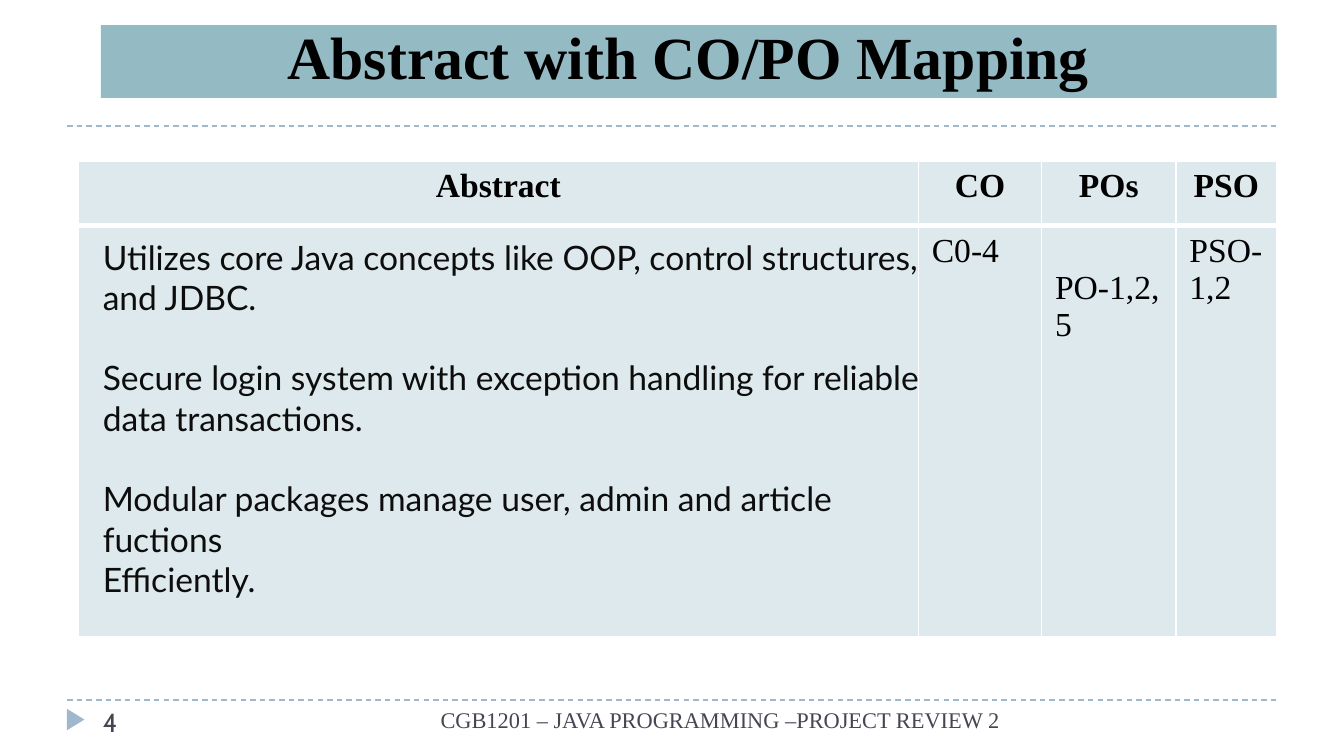
import pptx
import pptx.dml.color
import pptx.enum.dml
import pptx.enum.shapes
import pptx.enum.text
import pptx.oxml
import pptx.oxml.ns
import pptx.util
from lxml import etree

Pt = pptx.util.Pt
ALIGN = pptx.enum.text.PP_ALIGN
ANCHOR = pptx.enum.text.MSO_ANCHOR
SHAPES = pptx.enum.shapes.MSO_SHAPE
SERIF = "Times New Roman"
ACCENT, MUTED = "9FB8CD", "464653"

HEADINGS = ["Abstract", "CO", "POs", "PSO"]
MAPPING = ["", "C0-4", "PO-1,2,5", "PSO-1,2"]
COLUMN_WIDTHS = [450, 66, 72, 54]
ROW_HEIGHTS = [34.5, 220.5]
ABSTRACT = [
    ("Utilizes core Java concepts like OOP, control structures,", 0),
    ("and JDBC.", 0),
    ("Secure login system with exception handling for reliable data transactions.", 21.6),
    ("Modular packages manage user, admin and article fuctions", 21.6),
    ("Efficiently.", 0),
]


def rgb(color):
    """Turn a hex string into a colour."""
    return pptx.dml.color.RGBColor.from_string(color)


def apply(target, values):
    """Set each attribute of the target from a dict."""
    for key, value in values.items():
        setattr(target, key, value)


def box_points(*box):
    """Turn the numbers of a box into point lengths."""
    return [Pt(length) for length in box]


def fill(target, color):
    """Give a shape or cell a solid fill."""
    target.fill.solid()
    target.fill.fore_color.rgb = rgb(color)


def write(paragraph, text, color, align=ALIGN.LEFT, **font):
    """Write one formatted run into a paragraph."""
    paragraph.alignment = align
    run = paragraph.add_run()
    run.text = text
    apply(run.font, font)
    run.font.color.rgb = rgb(color)


def add_text_frame(slide, box, **frame):
    """Add a wrapping text box and return its frame."""
    text_frame = slide.shapes.add_textbox(*box_points(*box)).text_frame
    apply(text_frame, {"word_wrap": True, **frame})
    return text_frame


def add_preset(slide, preset, box, color):
    """Add a plain filled preset shape."""
    shape = slide.shapes.add_shape(preset, *box_points(*box))
    shape.shadow.inherit = False
    fill(shape, color)
    shape.line.fill.background()
    return shape


def add_rule(slide, left, top, width):
    """Add a dashed horizontal rule."""
    rule = slide.shapes.add_connector(
        pptx.enum.shapes.MSO_CONNECTOR.STRAIGHT,
        *box_points(left, top, left + width, top))
    dash = pptx.enum.dml.MSO_LINE.DASH
    apply(rule.line, {"width": Pt(0.75), "dash_style": dash})
    rule.line.color.rgb = rgb(ACCENT)
    etree.SubElement(rule._element.spPr, pptx.oxml.ns.qn("a:effectLst"))


def add_borders(cell, widths):
    """Draw white borders of the given widths around a cell."""
    properties = cell._tc.get_or_add_tcPr()
    for position, (side, width) in enumerate(widths.items()):
        properties.insert(position, pptx.oxml.parse_xml(
            f'<a:ln{side} {pptx.oxml.ns.nsdecls("a")} w="{Pt(width)}">'
            '<a:solidFill><a:srgbClr val="FFFFFF"/></a:solidFill>'
            f'</a:ln{side}>'))


def add_title(slide, left, top, width, height):
    """Place the title band and the rule below it."""
    band = add_preset(slide, SHAPES.RECTANGLE, (left, top, width, height), "94BAC3")
    apply(band.text_frame, {"word_wrap": True, "vertical_anchor": ANCHOR.BOTTOM})
    write(band.text_frame.paragraphs[0], "Abstract with CO/PO Mapping", "000000",
          ALIGN.CENTER, name=SERIF, size=Pt(32), bold=True)
    add_rule(slide, left - 18, top + 54, width + 18)


def add_mapping(slide, left, top):
    """Place the mapping table and the abstract over its first column."""
    table = slide.shapes.add_table(
        len(ROW_HEIGHTS), len(COLUMN_WIDTHS),
        *box_points(left, top, sum(COLUMN_WIDTHS), sum(ROW_HEIGHTS))).table
    apply(table, {"first_row": False, "horz_banding": False})
    for column, width in zip(table.columns, COLUMN_WIDTHS):
        column.width = Pt(width)
    for index, texts in enumerate([HEADINGS, MAPPING]):
        header = index == 0
        table.rows[index].height = Pt(ROW_HEIGHTS[index])
        for cell, text in zip(table.rows[index].cells, texts):
            fill(cell, "DDE9EC")
            add_borders(cell, {"L": 1, "R": 1, "T": 1 if header else 3,
                               "B": 3 if header else 1})
            if text:
                write(cell.text_frame.paragraphs[0], text, "000000",
                      ALIGN.CENTER if header else ALIGN.LEFT,
                      name=SERIF, size=Pt(18), bold=header)
    table.cell(1, HEADINGS.index("POs")).margin_top = Pt(23.6)

    abstract = add_text_frame(slide, (left + 6, top + 36.7, 462, 204))
    for index, (text, gap) in enumerate(ABSTRACT):
        paragraph = abstract.add_paragraph() if index else abstract.paragraphs[0]
        paragraph.space_before = Pt(gap)
        write(paragraph, text, "0D0D0D", name="Lato", size=Pt(18))


def add_footer(slide, left, top, width):
    """Place the footer rule, marker, page number and course line."""
    add_rule(slide, left, top, width)
    marker = add_preset(slide, SHAPES.ISOSCELES_TRIANGLE,
                        (left - 1.2, top + 5.8, 11.5, 9.4), ACCENT)
    marker.rotation = 90
    number = add_text_frame(slide, (left + 12, top, 156, 21.6))
    write(number.paragraphs[0], "4", MUTED, name="Cabin", size=Pt(14))
    course = add_text_frame(slide, (left + 186, top, 324, 29.5),
                            margin_right=Pt(10.2))
    write(course.paragraphs[0], "CGB1201 – JAVA PROGRAMMING –PROJECT REVIEW 2",
          MUTED, ALIGN.RIGHT, name=SERIF, size=Pt(12))


def main():
    """Build the slide and save it."""
    deck = pptx.Presentation()
    apply(deck, {"slide_width": Pt(720), "slide_height": Pt(405)})
    slide = deck.slides.add_slide(deck.slide_layouts[6])
    add_title(slide, 54, 13.5, 630, 39)
    add_mapping(slide, 42, 86.4)
    add_footer(slide, 36, 375, 648)
    deck.save("out.pptx")


if __name__ == "__main__":
    main()
